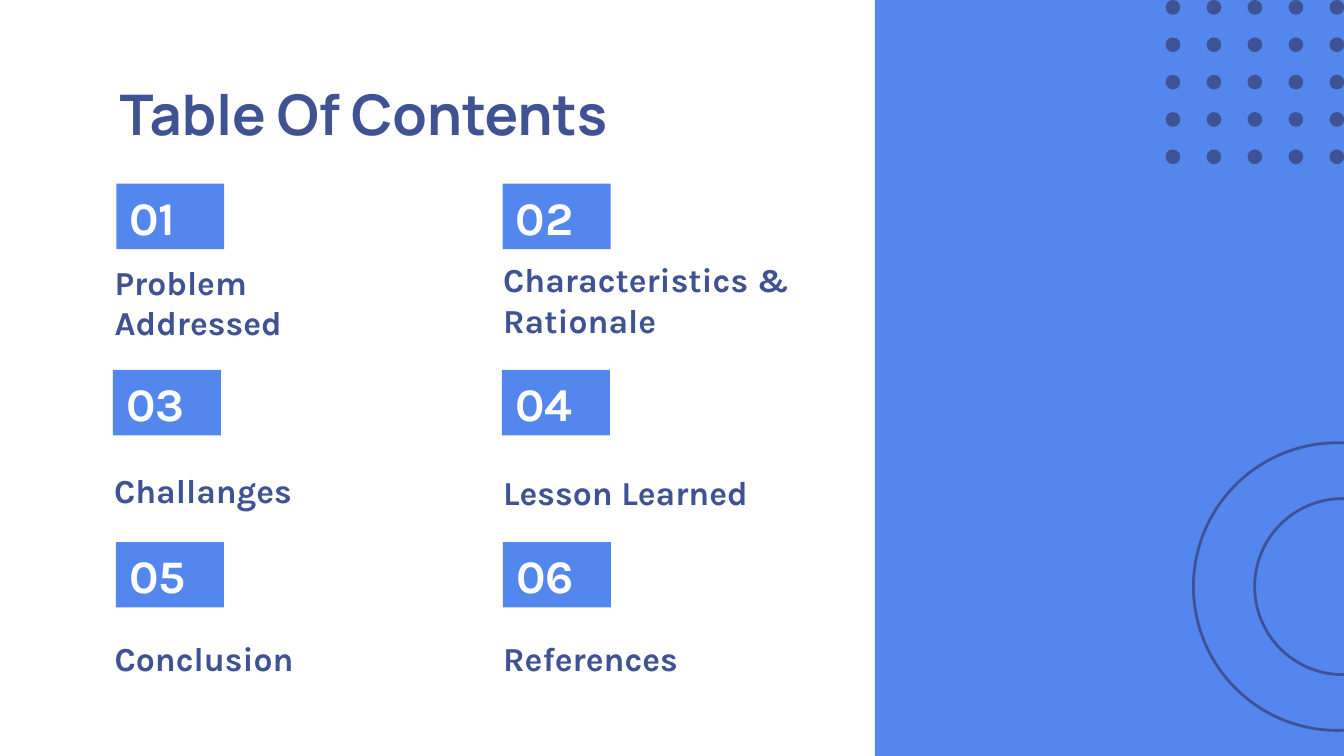
from dataclasses import dataclass

from pptx import Presentation, util as u
from pptx.dml.color import RGBColor
from pptx.enum import shapes, text

COLORS = {"blue": "5387ED", "navy": "3F5294", "white": "FFFFFF"}
WIDTH, HEIGHT = 100, 56.25  # slide size in square grid cells
CELL = u.Inches(0.1)


@dataclass(frozen=True)
class Box:
    """Left, top, width and height in grid cells."""
    left: float
    top: float
    width: float
    height: float

    def emu(self) -> tuple[int, ...]:
        return tuple(round(n * CELL) for n in (self.left, self.top, self.width, self.height))


@dataclass(frozen=True)
class Entry:
    """One numbered chapter: its badge corner and its label area."""
    heading: str
    badge_left: float
    badge_top: float
    label: Box
    anchor: text.MSO_ANCHOR = text.MSO_ANCHOR.BOTTOM


ENTRIES = (
    Entry("Problem Addressed", 8.66, 13.67, Box(7.55, 19.5, 20.1, 7)),
    Entry("Characteristics & Rationale", 37.4, 13.67, Box(36.45, 20.1, 30.8, 6.2)),
    Entry("Challanges", 8.4, 27.52, Box(7.5, 34.5, 20.1, 7.1), text.MSO_ANCHOR.TOP),
    Entry("Lesson Learned", 37.35, 27.52, Box(36.45, 34.8, 25.2, 4.3)),
    Entry("Conclusion", 8.63, 40.33, Box(7.55, 47.2, 19.2, 4.3)),
    Entry("References", 37.42, 40.33, Box(36.45, 47.2, 19.2, 4.3)),
)


def color(name: str) -> RGBColor:
    return RGBColor.from_string(COLORS[name])


def write(holder, words: str, size: float, font: str, ink: str,
          anchor: text.MSO_ANCHOR, inset: float = 1) -> None:
    frame = holder.text_frame
    frame.text = words
    frame.word_wrap = True
    frame.auto_size = text.MSO_AUTO_SIZE.NONE
    frame.vertical_anchor = anchor
    frame.margin_left = frame.margin_right = CELL
    frame.margin_top = frame.margin_bottom = round(inset * CELL)
    paragraph = frame.paragraphs[0]
    paragraph.alignment = text.PP_ALIGN.LEFT
    style = paragraph.runs[0].font
    style.size, style.name, style.bold = u.Pt(size), font, True
    style.color.rgb = color(ink)


def draw_solid(slide, kind: shapes.MSO_SHAPE, box: Box, fill: str):
    solid = slide.shapes.add_shape(kind, *box.emu())
    solid.shadow.inherit = False
    solid.fill.solid()
    solid.fill.fore_color.rgb = color(fill)
    solid.line.fill.background()
    return solid


def draw_ring(slide, box: Box) -> None:
    ring = slide.shapes.add_shape(shapes.MSO_SHAPE.OVAL, *box.emu())
    ring.shadow.inherit = False
    ring.fill.background()
    ring.line.color.rgb = color("navy")
    ring.line.width = u.Pt(1.5)


def draw_entry(slide, number: int, entry: Entry) -> None:
    badge = draw_solid(slide, shapes.MSO_SHAPE.RECTANGLE,
                       Box(entry.badge_left, entry.badge_top, 8.03, 4.87), "blue")
    write(badge, f"{number:02}", 25, "Karla", "white", text.MSO_ANCHOR.MIDDLE)
    label = slide.shapes.add_textbox(*entry.label.emu())
    inset = 0.5 if entry.anchor == text.MSO_ANCHOR.TOP else 1
    write(label, entry.heading, 18, "Karla", "navy", entry.anchor, inset)


def main() -> None:
    deck = Presentation()
    deck.slide_width, deck.slide_height = round(WIDTH * CELL), round(HEIGHT * CELL)
    slide = deck.slides.add_slide(deck.slide_layouts[5])

    # Side panel with dot grid and rings
    draw_solid(slide, shapes.MSO_SHAPE.RECTANGLE, Box(65.1, 0, 34.9, HEIGHT), "blue")
    for row in range(5):
        for column in range(5):
            draw_solid(slide, shapes.MSO_SHAPE.OVAL,
                       Box(86.72 + 3.05 * column, 2.78 * row, 1.1, 1.1), "navy")
    for ring in (Box(88.8, 32.95, 21.4, 21.4), Box(93.35, 37.1, 13.1, 13.1)):
        draw_ring(slide, ring)

    # Title
    title = slide.shapes.title
    title.left, title.top, title.width, title.height = Box(7.9, 4.9, 84.3, 6.3).emu()
    write(title, "Table Of Contents", 30, "Manrope", "navy", text.MSO_ANCHOR.TOP)

    # Numbered chapters
    for number, entry in enumerate(ENTRIES, start=1):
        draw_entry(slide, number, entry)

    deck.save("out.pptx")


if __name__ == "__main__":
    main()
